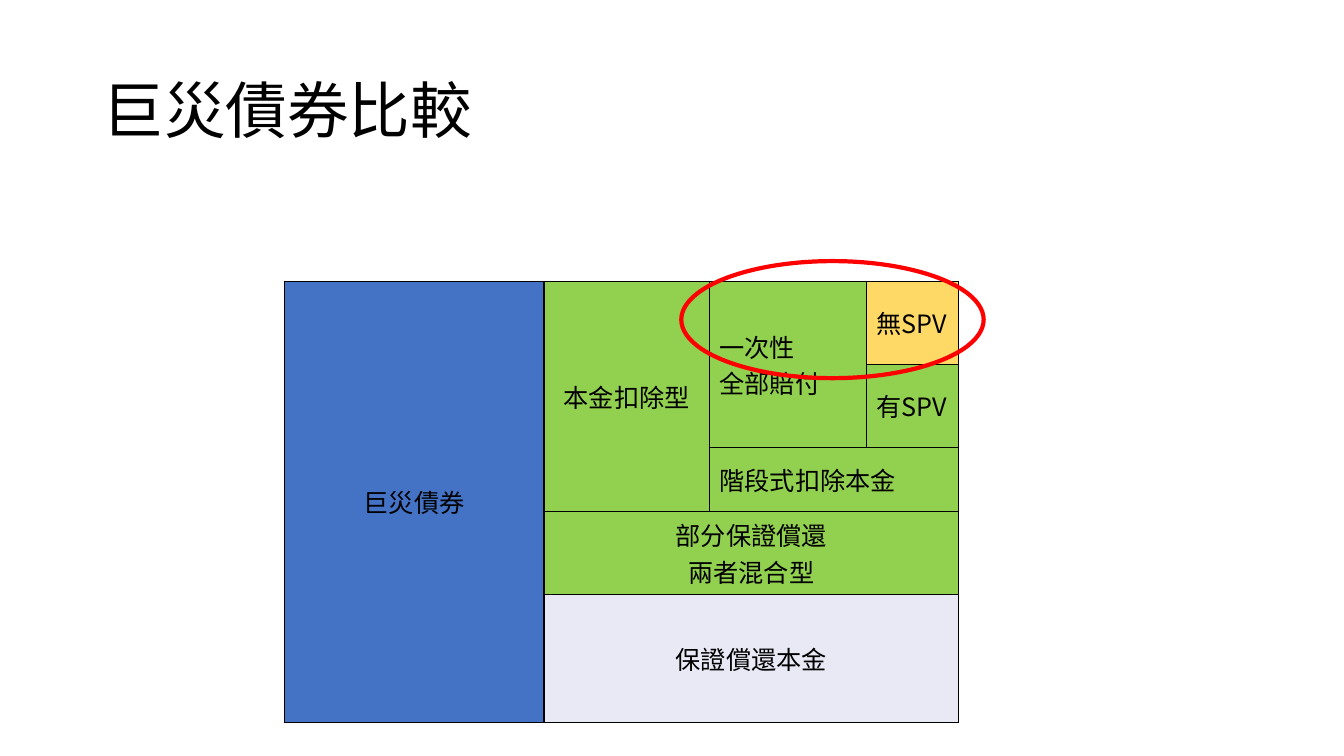
from pptx import Presentation
from pptx import util as u
from pptx.dml import color
from pptx.enum import shapes, text
from pptx.oxml import ns
from lxml import etree

FACE = "Noto Sans CJK SC"
GREEN = "92D050"
COLS = (6.55, 4.17, 3.96, 2.32)
ROWS = (2.09, 2.09, 1.61, 2.09, 3.22)
CELLS = (
    (0, 0, 5, 1, "巨災債券", "4472C4", True),
    (0, 1, 3, 1, "本金扣除型", GREEN, True),
    (0, 2, 2, 1, "一次性\n全部賠付", GREEN, False),
    (0, 3, 1, 1, "無SPV", "FFD966", False),
    (1, 3, 1, 1, "有SPV", GREEN, False),
    (2, 2, 1, 2, "階段式扣除本金", GREEN, False),
    (3, 1, 1, 3, "部分保證償還\n兩者混合型", GREEN, True),
    (4, 1, 1, 3, "保證償還本金", "E9E9F5", True),
)


def rgb(code):
    """Turn a hex string into a colour."""
    return color.RGBColor.from_string(code)


def style(frame, size, align):
    """Format every paragraph and run of a text frame."""
    for para in frame.paragraphs:
        para.alignment = align
        for run in para.runs:
            run.font.size = u.Pt(size)
            run.font.name = FACE
            run.font.color.rgb = rgb("000000")
            east = etree.SubElement(run._r.get_or_add_rPr(), ns.qn("a:ea"))
            east.set("typeface", FACE)


def border(cell):
    """Draw a thin black line on all four sides of a cell."""
    props = cell._tc.get_or_add_tcPr()
    for side in ("lnL", "lnR", "lnT", "lnB"):
        line = etree.SubElement(props, ns.qn("a:" + side), w=str(u.Pt(1)))
        fill = etree.SubElement(line, ns.qn("a:solidFill"))
        etree.SubElement(fill, ns.qn("a:srgbClr"), val="000000")


def add_title(slide, words):
    """Place and format the slide title."""
    title = slide.shapes.title
    title.left, title.top = u.Cm(2.33), u.Cm(1.01)
    title.width, title.height = u.Cm(29.21), u.Cm(3.68)
    frame = title.text_frame
    frame.text = words
    frame.vertical_anchor = text.MSO_ANCHOR.MIDDLE
    style(frame, 44, text.PP_ALIGN.LEFT)
    frame.paragraphs[0].line_spacing = 0.9


def add_grid(slide):
    """Build the table of bond types with its merged cells."""
    grid = slide.shapes.add_table(
        len(ROWS), len(COLS), u.Cm(7.16), u.Cm(7.09),
        u.Cm(sum(COLS)), u.Cm(sum(ROWS))).table
    grid.first_row = grid.horz_banding = False
    for col, width in zip(grid.columns, COLS):
        col.width = u.Cm(width)
    for row, height in zip(grid.rows, ROWS):
        row.height = u.Cm(height)
    for cell in grid.iter_cells():
        border(cell)
    for row, col, down, across, words, fill, mid in CELLS:
        cell = grid.cell(row, col)
        if down * across > 1:
            cell.merge(grid.cell(row + down - 1, col + across - 1))
        cell.text_frame.text = words
        cell.vertical_anchor = text.MSO_ANCHOR.MIDDLE
        cell.fill.solid()
        cell.fill.fore_color.rgb = rgb(fill)
        align = text.PP_ALIGN.CENTER if mid else text.PP_ALIGN.LEFT
        style(cell.text_frame, 18, align)


def add_ring(slide):
    """Circle the highlighted type in red."""
    ring = slide.shapes.add_shape(
        shapes.MSO_SHAPE.OVAL, u.Cm(17.17), u.Cm(6.58), u.Cm(7.62), u.Cm(2.95))
    ring.shadow.inherit = False
    ring.fill.background()
    ring.line.color.rgb = rgb("FF0000")
    ring.line.width = u.Pt(3)


def main():
    """Build and save the slide."""
    deck = Presentation()
    deck.slide_width, deck.slide_height = u.Cm(33.87), u.Cm(19.05)
    slide = deck.slides.add_slide(deck.slide_layouts[5])
    add_title(slide, "巨災債券比較")
    add_grid(slide)
    add_ring(slide)
    deck.save("out.pptx")


if __name__ == "__main__":
    main()
